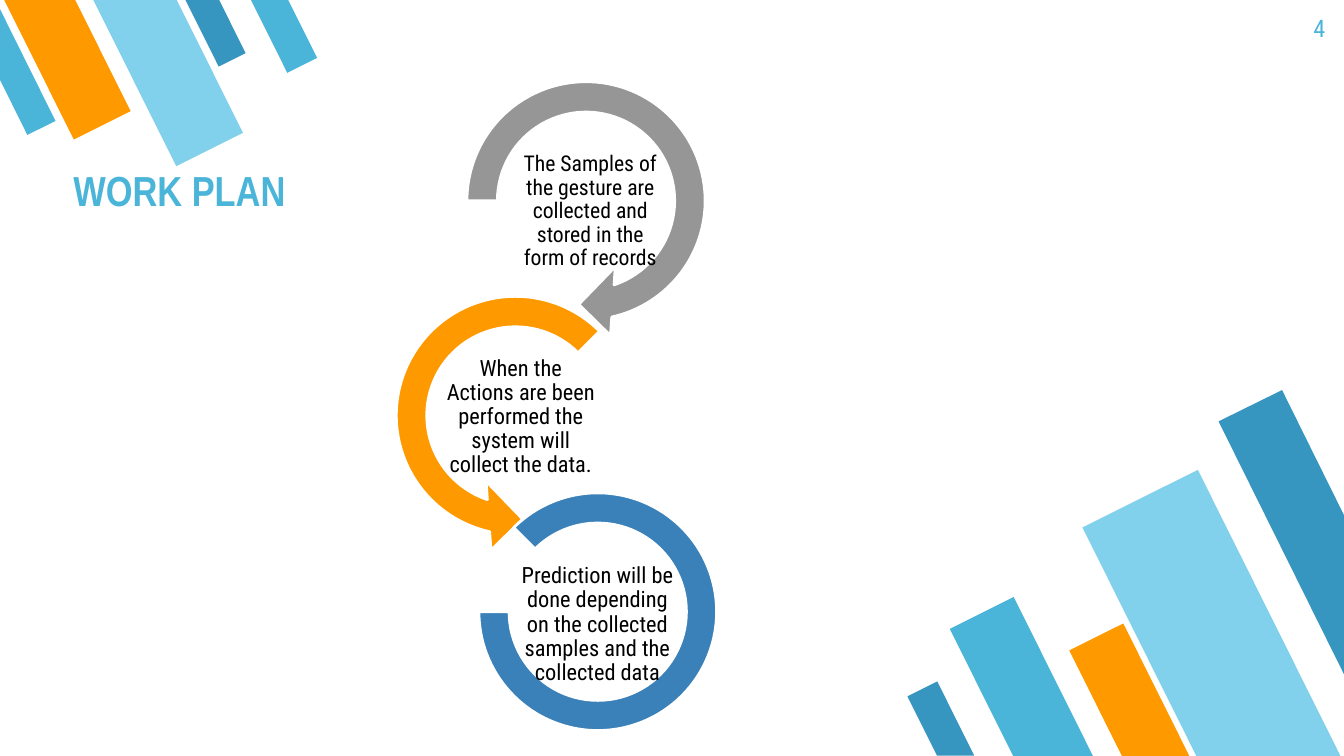
import pptx
import pptx.util
import pptx.dml.color
import pptx.enum.shapes
import pptx.enum.text

Cm = pptx.util.Cm
SHAPE = pptx.enum.shapes.MSO_SHAPE
ALIGN = pptx.enum.text.PP_ALIGN
ANCHOR = pptx.enum.text.MSO_ANCHOR

THEME = {
    "sky": "4BB5D9", "pale": "81D1EC", "orange": "FF9900", "deep": "3796BF",
    "grey": "969696", "blue": "3A81BA", "white": "FFFFFF", "black": "000000",
    "body": "Roboto Condensed", "heading": "Arial Narrow",
    "title_size": 30, "number_size": 17.3, "ring_line": 2,
}

# Content; lengths in cm
SLIDE_SIZE = (33.87, 19.05)
BAR_RATIO = 2.485  # bar length over bar width

# Each corner: rotation, bars (left, top, width, colour), clipped bar (points, colour)
CORNERS = [
    (153.5,
     [(24.84, 15.21, 1.8, "sky"), (28.91, 12.14, 3.25, "pale"),
      (27.71, 15.85, 1.52, "orange"), (23.29, 17.25, 0.84, "deep")],
     ([(32.31, 9.83), (30.71, 10.62), (33.87, 16.99), (33.87, 12.98)], "deep")),
    (333.5,
     [(5.05, -0.28, 0.76, "deep"), (0.89, -0.61, 1.6, "orange"),
      (3.3, -0.66, 1.88, "pale"), (6.73, -0.33, 0.84, "sky")],
     ([(0.69, 3.4), (1.4, 3.05), (0, 0.23), (0, 2.01)], "sky")),
]

NUMBER = ("4", (31.7, 0, 2.03, 1.45))
TITLE = ("WORK PLAN", (1.52, 3.45, 19.61, 2.29))

STEP_TEXT_SIZE = (3.89, 1.93)
STEPS = [
    {"text": "The Samples of the gesture are collected and stored in the form of records",
     "text_at": (12.93, 4.37), "size": 15.5, "ring": SHAPE.CIRCULAR_ARROW,
     "ring_at": (11.28, 1.57), "diameter": 6.98, "colour": "grey",
     "adjust": (0.11, 11.423, 45, 108, 0.125)},
    {"text": "When the Actions are been performed the system will collect the data.",
     "text_at": (11.18, 9.55), "size": 16, "ring": SHAPE.LEFT_CIRCULAR_ARROW,
     "ring_at": (9.5, 6.98), "diameter": 6.98, "colour": "orange",
     "adjust": (0.11, 11.423, 63, 189, 0.125)},
    {"text": "Prediction will be done depending on the collected samples and the collected data",
     "text_at": (13.11, 14.78), "size": 16, "ring": SHAPE.BLOCK_ARC,
     "ring_at": (12.07, 12.42), "diameter": 5.99, "colour": "blue",
     "adjust": (135, 108, 0.127)},
]


def rgb(name):
    return pptx.dml.color.RGBColor.from_string(THEME[name])


def paint(sp, colour, outline=None):
    sp.shadow.inherit = False
    sp.fill.solid()
    sp.fill.fore_color.rgb = rgb(colour)
    if outline:
        sp.line.color.rgb = rgb(outline)
        sp.line.width = pptx.util.Pt(THEME["ring_line"])
    else:
        sp.line.fill.background()


def add_text(s, text, box, size, colour, font="body", bold=False, inset=0.33,
             align=ALIGN.LEFT, anchor=ANCHOR.TOP, spacing=1.0):
    tf = s.shapes.add_textbox(*map(Cm, box)).text_frame
    frame = {"word_wrap": True, "vertical_anchor": anchor}
    frame.update({f"margin_{side}": Cm(inset)
                  for side in ("left", "top", "right", "bottom")})
    for name, value in frame.items():
        setattr(tf, name, value)
    p = tf.paragraphs[0]
    p.alignment, p.line_spacing = align, spacing
    r = p.add_run()
    r.text = text
    for name, value in {"name": THEME[font], "size": pptx.util.Pt(size),
                        "bold": bold}.items():
        setattr(r.font, name, value)
    r.font.color.rgb = rgb(colour)


def add_corner(s, rotation, bars, clipped):
    for left, top, width, colour in bars:
        sp = s.shapes.add_shape(SHAPE.FLOWCHART_MANUAL_INPUT,
                                *map(Cm, (left, top, width, width * BAR_RATIO)))
        sp.rotation = rotation
        sp.element.spPr.xfrm.set("flipH", "1")
        paint(sp, colour)
    points, colour = clipped
    start, *rest = [(Cm(x), Cm(y)) for x, y in points]
    outline = s.shapes.build_freeform(*start)
    outline.add_line_segments(rest, close=True)
    paint(outline.convert_to_shape(), colour)


def add_step(s, step):
    sp = s.shapes.add_shape(step["ring"],
                            *map(Cm, step["ring_at"] + (step["diameter"],) * 2))
    for i, value in enumerate(step["adjust"]):
        sp.adjustments[i] = value
    paint(sp, step["colour"], "white")
    add_text(s, step["text"], step["text_at"] + STEP_TEXT_SIZE, step["size"], "black",
             inset=0.03, align=ALIGN.CENTER, anchor=ANCHOR.MIDDLE, spacing=0.9)


def main():
    prs = pptx.Presentation()
    prs.slide_width, prs.slide_height = map(Cm, SLIDE_SIZE)
    s = prs.slides.add_slide(prs.slide_layouts[6])

    # Corner decoration
    for corner in CORNERS:
        add_corner(s, *corner)

    # Page number and title
    add_text(s, *NUMBER, THEME["number_size"], "sky", align=ALIGN.RIGHT)
    add_text(s, *TITLE, THEME["title_size"], "sky", font="heading", bold=True,
             anchor=ANCHOR.BOTTOM)

    # Chain of steps
    for step in STEPS:
        add_step(s, step)

    prs.save("out.pptx")


if __name__ == "__main__":
    main()
